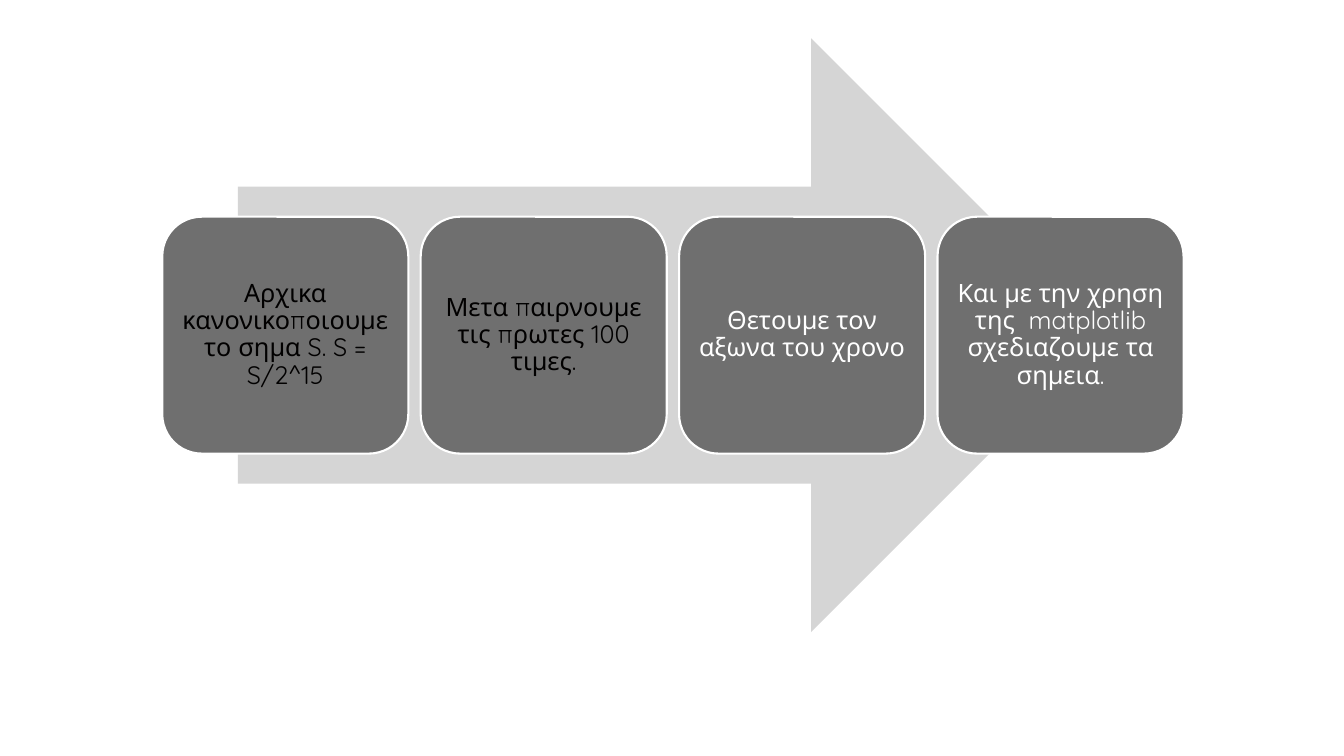
import pptx
import pptx.dml.color
import pptx.enum.shapes
import pptx.enum.text
import pptx.util

Inches = pptx.util.Inches
Pt = pptx.util.Pt
RGBColor = pptx.dml.color.RGBColor
MSO_SHAPE = pptx.enum.shapes.MSO_SHAPE

WHITE = RGBColor(0xFF, 0xFF, 0xFF)
BLACK = RGBColor(0x01, 0x00, 0x00)
LIGHT_GREY = RGBColor(0xD5, 0xD5, 0xD5)
DARK_GREY = RGBColor(0x6F, 0x6F, 0x6F)

STEPS = [
    ("Αρχικα κανονικοποιουμε το σημα S. S = S/2^15", BLACK),
    ("Μετα παιρνουμε τις πρωτες 100 τιμες.", BLACK),
    ("Θετουμε τον αξωνα του χρονο", WHITE),
    ("Και με την χρηση της  matplotlib σχεδιαζουμε τα σημεια.", WHITE),
]
FIRST_STEP_LEFT = 1.61
STEP_PITCH = 2.563


class ProcessSlide:
    font_name = "Quicksand"
    font_size = Pt(18)
    step_inset = Inches(0.07)

    def __init__(self, presentation):
        self.slide = presentation.slides.add_slide(presentation.slide_layouts[6])

    def add_filled_shape(self, kind, left, top, width, height, color):
        shape = self.slide.shapes.add_shape(
            kind, Inches(left), Inches(top), Inches(width), Inches(height))
        shape.shadow.inherit = False
        shape.fill.solid()
        shape.fill.fore_color.rgb = color
        shape.line.fill.background()
        return shape

    def add_arrow(self, left, top, width, height):
        self.add_filled_shape(
            MSO_SHAPE.RIGHT_ARROW, left, top, width, height, LIGHT_GREY)

    def add_step(self, left, text, text_color):
        shape = self.add_filled_shape(
            MSO_SHAPE.ROUNDED_RECTANGLE, left, 2.15, 2.44, 2.35, DARK_GREY)
        shape.line.color.rgb = WHITE
        shape.line.width = Pt(1.5)
        frame = shape.text_frame
        frame.word_wrap = True
        frame.vertical_anchor = pptx.enum.text.MSO_ANCHOR.MIDDLE
        frame.margin_left = frame.margin_right = self.step_inset
        frame.margin_top = frame.margin_bottom = self.step_inset
        paragraph = frame.paragraphs[0]
        paragraph.text = text
        paragraph.alignment = pptx.enum.text.PP_ALIGN.CENTER
        paragraph.line_spacing = 0.9
        paragraph.space_after = Pt(8)
        paragraph.font.name = self.font_name
        paragraph.font.size = self.font_size
        paragraph.font.color.rgb = text_color


def main():
    presentation = pptx.Presentation()
    presentation.slide_width = Inches(13.33)
    presentation.slide_height = Inches(7.5)
    process = ProcessSlide(presentation)
    process.add_arrow(2.36, 0.38, 8.63, 5.89)
    for index, (text, color) in enumerate(STEPS):
        process.add_step(FIRST_STEP_LEFT + index * STEP_PITCH, text, color)
    presentation.save("out.pptx")


if __name__ == "__main__":
    main()
